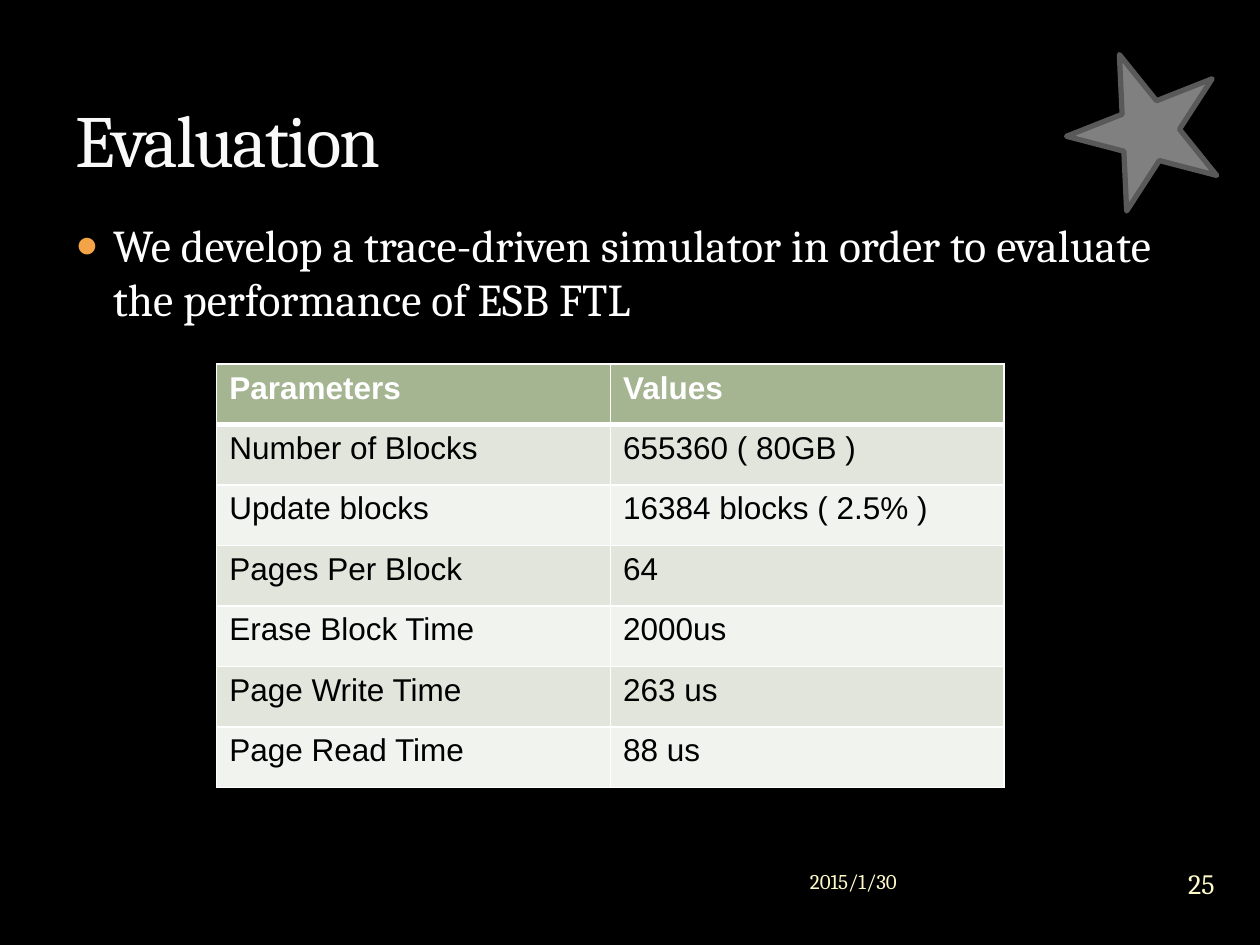
from dataclasses import dataclass

import pptx
import pptx.dml.color
import pptx.enum.shapes
import pptx.enum.text
import pptx.oxml
import pptx.oxml.ns
import pptx.util
from pptx.util import Inches

Align = pptx.enum.text.PP_ALIGN
Anchor = pptx.enum.text.MSO_ANCHOR


@dataclass(frozen=True)
class Theme:
    background: str = "000000"
    title: str = "F9F9F9"
    body: str = "FFFFFF"
    footer: str = "FEFAC9"
    bullet: str = "F3A447"
    star: str = "808080"
    star_line: str = "595959"
    header: str = "A5B592"
    bands: tuple = ("E1E5DC", "F0F3EE")
    cell_text: str = "000000"
    border: str = "FFFFFF"
    serif: str = "Cambria"
    sans: str = "Arial"
    title_size: int = 42
    body_size: int = 26
    cell_size: int = 18
    number_size: int = 16
    date_size: int = 12


THEME = Theme()

PARAMETERS = [
    ("Parameters", "Values"),
    ("Number of Blocks", "655360 ( 80GB )"),
    ("Update blocks", "16384 blocks ( 2.5% )"),
    ("Pages Per Block", "64"),
    ("Erase Block Time", "2000us"),
    ("Page Write Time", "263 us"),
    ("Page Read Time", "88 us"),
]


def rgb(value):
    return pptx.dml.color.RGBColor.from_string(value)


def paint(fill, color):
    fill.solid()
    fill.fore_color.rgb = rgb(color)


def write(frame, text, *, size, color, font=THEME.serif, bold=False,
          align=Align.LEFT, anchor=Anchor.TOP, inset=None):
    """Put one formatted paragraph in a text frame and return it."""
    frame.word_wrap = True
    frame.vertical_anchor = anchor
    if inset is not None:
        frame.margin_left = frame.margin_right = Inches(inset)
        frame.margin_top = frame.margin_bottom = Inches(inset)
    para = frame.paragraphs[0]
    para.alignment = align
    span = para.add_run()
    span.text = text
    span.font.name = font
    span.font.size = pptx.util.Pt(size)
    span.font.bold = bold
    span.font.color.rgb = rgb(color)
    return para


def add_text(page, place, text, **style):
    box = page.shapes.add_textbox(*map(Inches, place))
    return write(box.text_frame, text, **style)


def add_xml(parent, index, markup):
    namespace = pptx.oxml.ns.nsdecls("a")
    tag, rest = markup.split(" ", 1)
    parent.insert(index, pptx.oxml.parse_xml(f"{tag} {namespace} {rest}"))


def set_bullet(para, indent):
    properties = para._p.get_or_add_pPr()
    properties.set("marL", str(Inches(indent)))
    properties.set("indent", str(-Inches(indent)))
    for markup in (
        f'<a:buClr ><a:srgbClr val="{THEME.bullet}"/></a:buClr>',
        '<a:buSzPct val="85000"/>',
        '<a:buFont typeface="Arial"/>',
        '<a:buChar char="●"/>',
    ):
        add_xml(properties, len(properties), markup)


def set_borders(cell, **widths):
    properties = cell._tc.get_or_add_tcPr()
    for index, side in enumerate("LRTB"):
        width = pptx.util.Pt(widths.get(side, 1))
        add_xml(properties, index,
                f'<a:ln{side} w="{width}"><a:solidFill>'
                f'<a:srgbClr val="{THEME.border}"/></a:solidFill></a:ln{side}>')


def add_star(page):
    star = page.shapes.add_shape(pptx.enum.shapes.MSO_SHAPE.STAR_5_POINT,
                                 *map(Inches, (8.54, 0.49, 1.25, 1.17)))
    star.rotation = 122.9
    star.shadow.inherit = False
    paint(star.fill, THEME.star)
    paint(star.line.fill, THEME.star_line)
    star.line.width = pptx.util.Pt(3)
    line = star.line._get_or_add_ln()
    add_xml(line, len(line), "<a:round />")


def set_title(page, text):
    title = page.shapes.title
    title.left, title.top, title.width, title.height = map(
        Inches, (0.5, 0.17, 9, 1.33))
    para = write(title.text_frame, text, size=THEME.title_size,
                 color=THEME.title, anchor=Anchor.BOTTOM)
    para.runs[0].font._element.set("spc", "-100")


def add_table(page, rows, place):
    table = page.shapes.add_table(
        len(rows), len(rows[0]), *map(Inches, place)).table
    for row, texts in enumerate(rows):
        header = row == 0
        for column, text in enumerate(texts):
            cell = table.cell(row, column)
            write(cell.text_frame, text, size=THEME.cell_size, font=THEME.sans,
                  color=THEME.body if header else THEME.cell_text, bold=header)
            paint(cell.fill, THEME.header if header else THEME.bands[(row - 1) % 2])
            set_borders(cell, B=3 if header else 1, T=3 if row == 1 else 1)


def main():
    deck = pptx.Presentation()
    deck.slide_width, deck.slide_height = Inches(10), Inches(7.5)
    page = deck.slides.add_slide(deck.slide_layouts.get_by_name("Title Only"))
    paint(page.background.fill, THEME.background)

    # Decoration and title
    add_star(page)
    set_title(page, "Evaluation")

    # Date and page number
    add_text(page, (6.33, 6.78, 2.83, 0.42), "2015/1/30", size=THEME.date_size,
             color=THEME.footer, anchor=Anchor.MIDDLE)
    add_text(page, (9.2, 6.76, 0.67, 0.5), "25", size=THEME.number_size,
             color=THEME.footer, align=Align.CENTER, anchor=Anchor.MIDDLE, inset=0)

    # Body statement
    para = add_text(page, (0.5, 1.67, 9, 5),
                    "We develop a trace-driven simulator in order to evaluate "
                    "the performance of ESB FTL",
                    size=THEME.body_size, color=THEME.body)
    para.space_before = pptx.util.Pt(6)
    set_bullet(para, 0.3)

    # Simulator parameters
    add_table(page, PARAMETERS, (1.72, 2.89, 6.25, 3.36))

    deck.save("out.pptx")


main()
